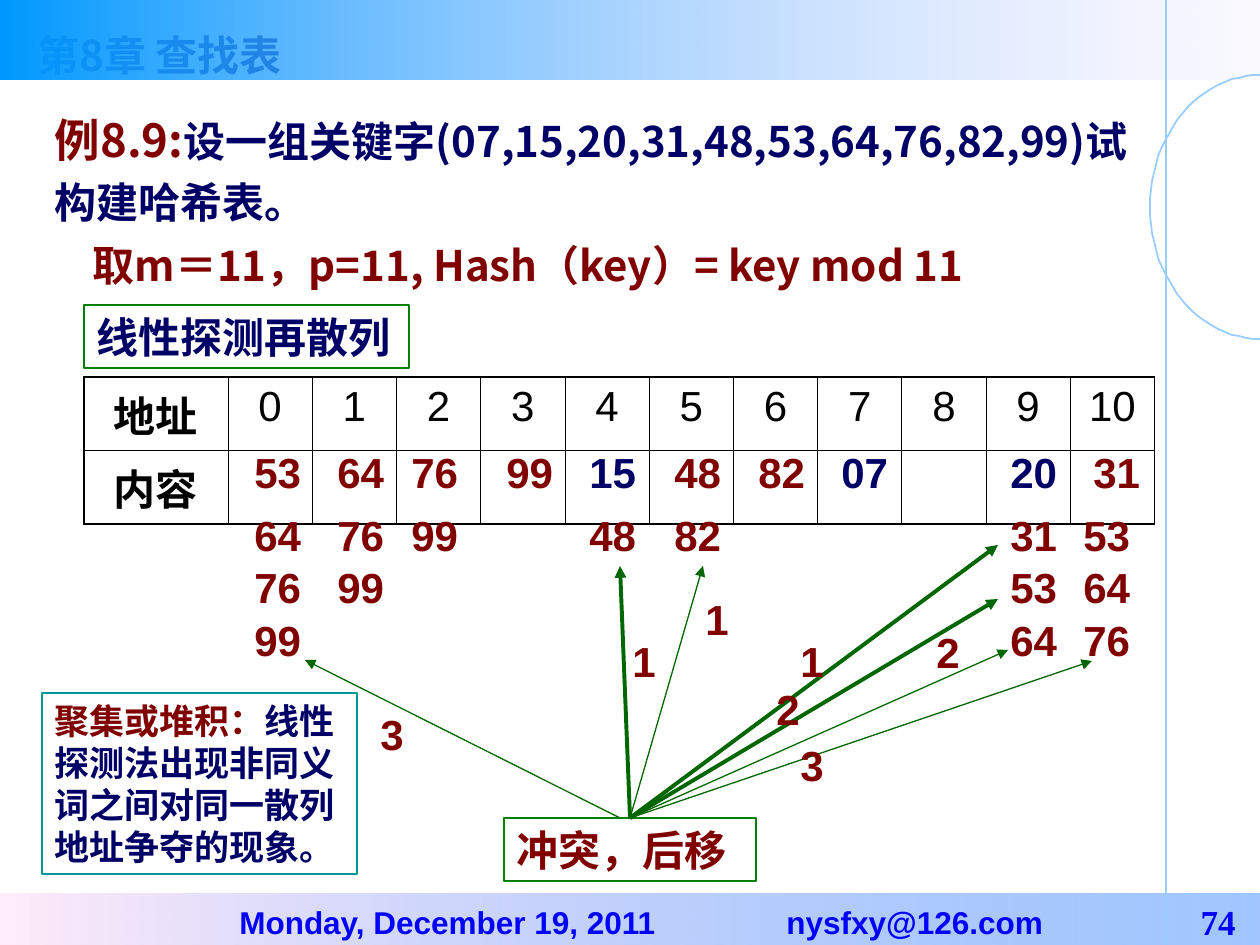
from dataclasses import dataclass
from math import cos, pi, sin

from lxml import etree
from pptx import Presentation
from pptx.dml.color import RGBColor
from pptx.enum.shapes import MSO_CONNECTOR, MSO_SHAPE
from pptx.enum.text import MSO_ANCHOR, MSO_AUTO_SIZE, PP_ALIGN
from pptx.oxml.ns import qn
from pptx.util import Emu, Pt

STRAIGHT = MSO_CONNECTOR.STRAIGHT
RECTANGLE = MSO_SHAPE.RECTANGLE
TOP, MIDDLE = MSO_ANCHOR.TOP, MSO_ANCHOR.MIDDLE
LEFT, CENTER, RIGHT = PP_ALIGN.LEFT, PP_ALIGN.CENTER, PP_ALIGN.RIGHT
NO_AUTOFIT = MSO_AUTO_SIZE.NONE
SCALE = 914400 / 126


@dataclass(frozen=True)
class Theme:
    latin: str = "Arial"
    cjk: str = "Noto Sans CJK SC"
    serif: str = "Times New Roman"
    maroon: str = "800000"
    navy: str = "000066"
    title: str = "000080"
    footer: str = "0000FF"
    black: str = "000000"
    arrow: str = "006600"
    frame: str = "008000"
    note: str = "009999"
    guide: str = "99CCFF"
    large: int = 26
    normal: int = 24
    small: int = 20
    tiny: int = 18


theme = Theme()


def px(*lengths):
    values = [Emu(round(length * SCALE)) for length in lengths]
    return values if len(values) > 1 else values[0]


def write(paragraph, pieces, size, font_name=theme.latin, bold=True, align=LEFT):
    paragraph.alignment = align
    for text, color in pieces:
        run = paragraph.add_run()
        run.text = text
        run.font.size = Pt(size)
        run.font.bold = bold
        run.font.name = font_name
        run.font.color.rgb = RGBColor.from_string(color)
        etree.SubElement(run._r.get_or_add_rPr(), qn("a:ea"), typeface=theme.cjk)


presentation = Presentation()
presentation.slide_width, presentation.slide_height = px(1260, 945)
slide = presentation.slides.add_slide(presentation.slide_layouts[1])
shapes = slide.shapes

bands = [
    (0, 80, [("0099FF", 100), ("CCCCFF", 10)]),
    (894, 51, [("FFEBFA", 100), ("5E9EFF", 58)]),
]
for top, height, stops in bands:
    band = shapes.add_shape(RECTANGLE, *px(0, top, 1260, height))
    band.shadow.inherit = False
    band.line.fill.background()
    band.fill.gradient()
    band.fill.gradient_angle = 0
    for stop, (color, opacity) in zip(band.fill.gradient_stops, stops):
        stop.color.rgb = RGBColor.from_string(color)
    for element, (color, opacity) in zip(band._element.spPr.iter(qn("a:srgbClr")), stops):
        etree.SubElement(element, qn("a:alpha"), val=str(opacity * 1000))

arc_points = [
    (1260 - 110 * sin(pi * step / 48), 207 - 132 * cos(pi * step / 48))
    for step in range(49)
]
builder = shapes.build_freeform(*arc_points[0], scale=SCALE)
builder.add_line_segments(arc_points[1:], close=False)
arc = builder.convert_to_shape()
arc.shadow.inherit = False
arc.fill.background()
arc.line.color.rgb = RGBColor.from_string(theme.guide)
arc.line.width = Pt(1)

title = shapes.title
title.left, title.top, title.width, title.height = px(25, 23, 294, 43)
title.text_frame.word_wrap = False
title.text_frame.auto_size = NO_AUTOFIT
title.text_frame.vertical_anchor = TOP
write(title.text_frame.paragraphs[0], [("第8章 查找表", theme.title)], theme.normal, theme.cjk)

body = slide.placeholders[1]
body.left, body.top, body.width, body.height = px(42, 95, 1112, 199)
body.text_frame.auto_size = NO_AUTOFIT
question = body.text_frame.paragraphs[0]
choice = body.text_frame.add_paragraph()
for paragraph, indent in [(question, 0), (choice, 38)]:
    properties = paragraph._p.get_or_add_pPr()
    properties.set("marL", "0")
    properties.set("indent", str(px(indent)))
    etree.SubElement(properties, qn("a:buNone"))
    paragraph.line_spacing = 1.2
    paragraph.space_before = Pt(0)
    paragraph.space_after = Pt(1.5)
write(question, [("例8.9:", theme.maroon)], theme.large, theme.cjk)
write(question, [("设一组关键字(07,15,20,31,48,53,64,76,82,99)试构建哈希表。", theme.navy)],
      theme.normal, theme.cjk)
write(choice, [("取m＝11，p=11, Hash（key）= key mod 11", theme.maroon)], theme.normal, theme.cjk)

table_frame = shapes.add_table(2, 12, *px(84, 377, 1071, 126))
table = table_frame.table
table.first_row = False
table.horz_banding = False
for index, column in enumerate(table.columns):
    column.width = px(144) if index == 0 else Emu(px(927) // 11)
for row_index, row in enumerate(table.rows):
    row.height = px(63)
    for column_index, cell in enumerate(row.cells):
        outer_edges = {
            "a:lnL": column_index == 0,
            "a:lnR": column_index == 11,
            "a:lnT": row_index == 0,
            "a:lnB": row_index == 1,
        }
        for edge, outer in outer_edges.items():
            border = etree.SubElement(cell._tc.get_or_add_tcPr(), qn(edge),
                                      w=str(Pt(1.08 if outer else 0.45)))
            fill = etree.SubElement(border, qn("a:solidFill"))
            etree.SubElement(fill, qn("a:srgbClr"), val=theme.black)
        cell.fill.background()
        if column_index == 0:
            text = ("地址", "内容")[row_index]
        else:
            text = str(column_index - 1) if row_index == 0 else ""
        if text:
            write(cell.text_frame.paragraphs[0], [(text, theme.black)], theme.normal,
                  bold=column_index == 0, align=CENTER)

panels = [
    (504, 818, 252, 63, theme.frame, theme.normal, [("冲突，后移", theme.maroon)]),
    (84, 305, 325, 63, theme.frame, theme.normal, [("线性探测再散列", theme.navy)]),
    (42, 693, 315, 181, theme.note, theme.small,
     [("聚集或堆积：", theme.maroon),
      ("线性探测法出现非同义词之间对同一散列地址争夺的现象。", theme.navy)]),
]
panel_shapes = []
for left, top, width, height, color, size, pieces in panels:
    panel = shapes.add_shape(RECTANGLE, *px(left, top, width, height))
    panel.shadow.inherit = False
    panel.fill.background()
    panel.line.color.rgb = RGBColor.from_string(color)
    panel.line.width = Pt(0.75)
    panel.text_frame.word_wrap = True
    panel.text_frame.vertical_anchor = TOP
    write(panel.text_frame.paragraphs[0], pieces, size)
    panel_shapes.append(panel)
conflict_box = panel_shapes[0]

lines = [
    (1166, 0, 1166, 945, 1.5, theme.guide),
    (630, 818, 1092, 661, 0.75, theme.arrow),
    (630, 818, 1008, 650, 0.75, theme.arrow),
    (630, 818, 998, 599, 2.25, theme.arrow),
    (630, 818, 620, 566, 2.25, theme.arrow),
    (630, 818, 998, 545, 2.25, theme.arrow),
    (630, 818, 703, 566, 0.75, theme.arrow),
    (620, 818, 305, 660, 0.75, theme.arrow),
]
for start_x, start_y, end_x, end_y, width, color in lines:
    line = shapes.add_connector(STRAIGHT, *px(start_x, start_y, end_x, end_y))
    line.line.color.rgb = RGBColor.from_string(color)
    line.line.width = Pt(width)
    if (start_x, start_y) == (630, 818):
        line.begin_connect(conflict_box, 0)
    line_properties = line._element.spPr
    if color == theme.arrow:
        etree.SubElement(line_properties.find(qn("a:ln")), qn("a:tailEnd"), type="triangle")
    etree.SubElement(line_properties, qn("a:effectLst"))

row_tops = [440, 503, 555, 608]
stacks = [
    (242, 0, "53 64 76 99"), (325, 0, "64 76 99"), (399, 0, "76 99"), (494, 0, "99"),
    (577, 0, "15 48"), (662, 0, "48 82"), (746, 0, "82"), (829, 0, "07"),
    (998, 0, "20 31 53 64"), (1081, 0, "31"), (1071, 1, "53 64 76"),
]
numbers = [
    (left, top, key)
    for left, first_row, keys in stacks
    for top, key in zip(row_tops[first_row:], keys.split())
]
numbers += [
    (764, 677, "2"), (788, 733, "3"), (924, 620, "2"), (620, 629, "1"),
    (788, 629, "1"), (693, 587, "1"), (368, 702, "3"),
]
for left, top, text in numbers:
    number = shapes.add_textbox(*px(left, top, 73, 63))
    number.text_frame.word_wrap = True
    color = theme.navy if text in ("07", "15", "20") else theme.maroon
    write(number.text_frame.paragraphs[0], [(text, color)], theme.normal)

footers = [
    (227, 460, "Monday, December 19, 2011", theme.tiny, theme.latin, LEFT),
    (774, 300, "nysfxy@126.com", theme.tiny, theme.latin, LEFT),
    (1168, 80, "74", theme.small, theme.serif, RIGHT),
]
for left, width, text, size, font_name, align in footers:
    footer = shapes.add_textbox(*px(left, 898, width, 47))
    footer.text_frame.word_wrap = True
    footer.text_frame.vertical_anchor = MIDDLE
    write(footer.text_frame.paragraphs[0], [(text, theme.footer)], size, font_name, align=align)

presentation.save("out.pptx")
